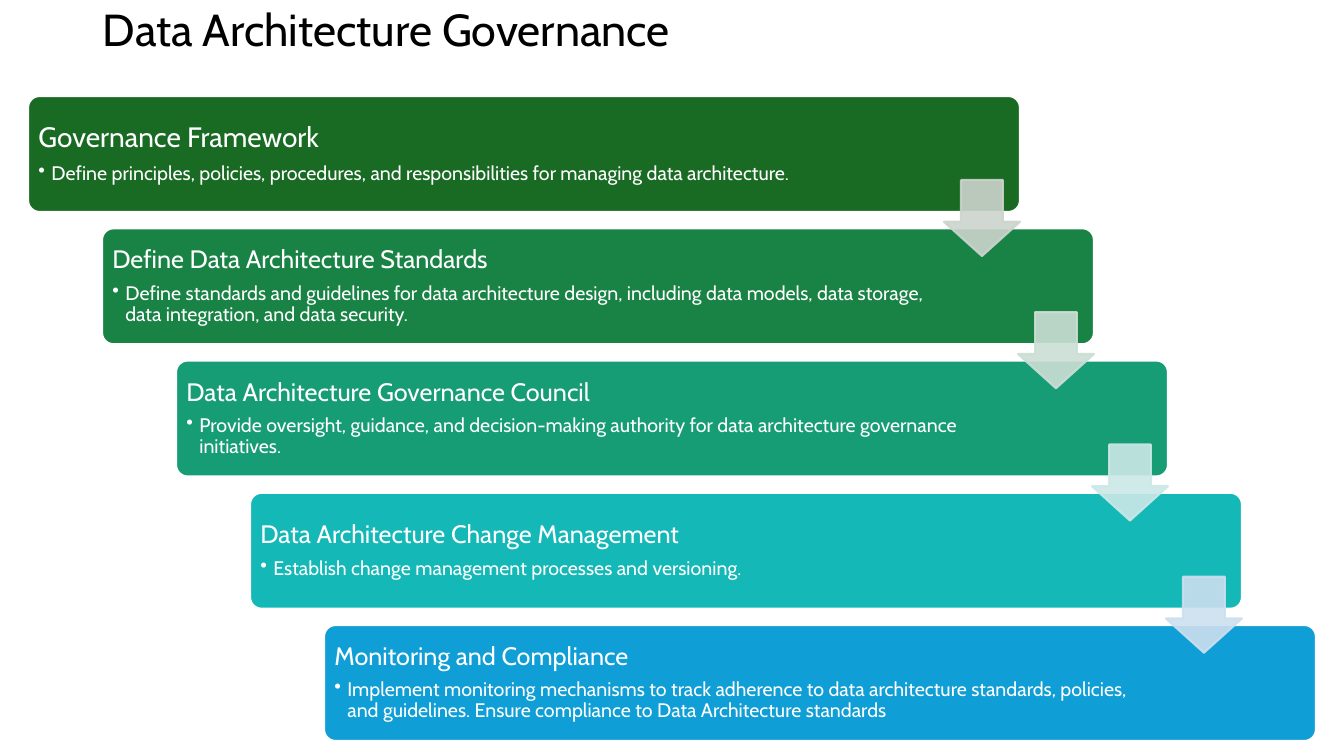
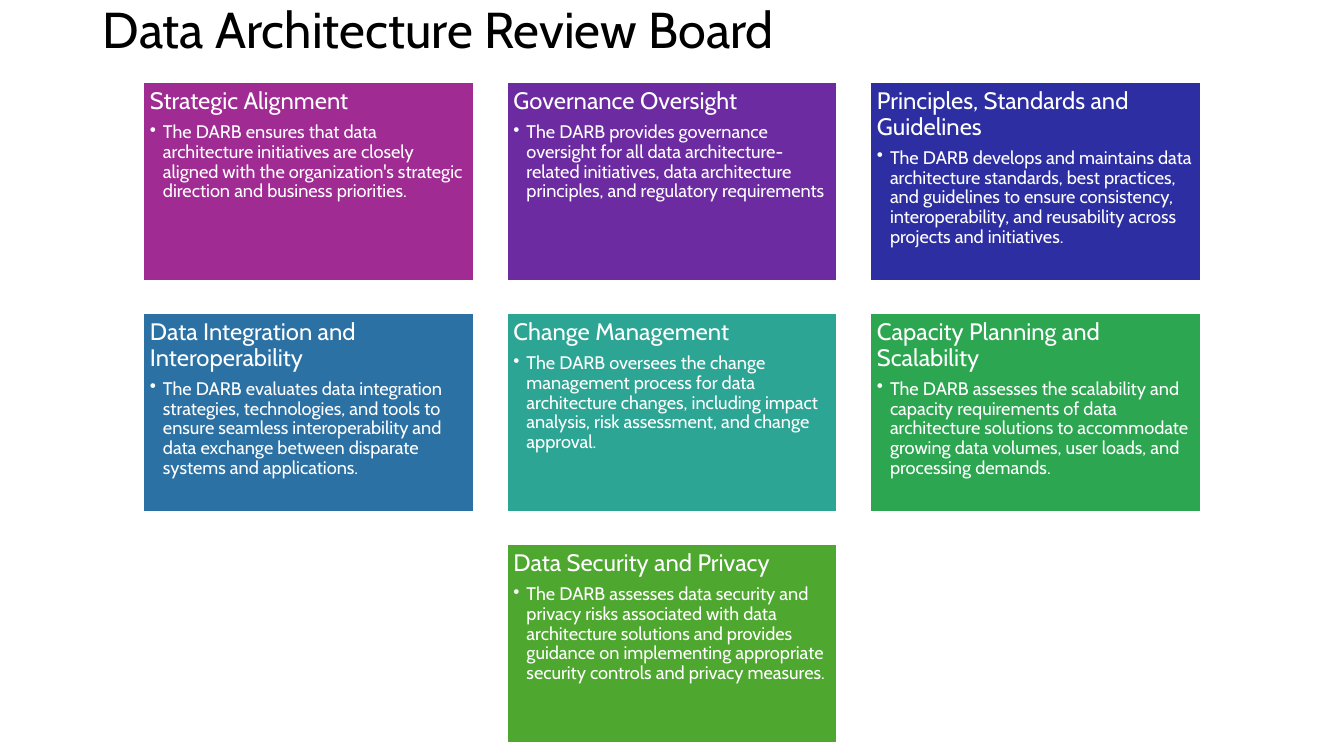
import dataclasses
import typing

import lxml.etree
import pptx
import pptx.dml.color
import pptx.enum.shapes
import pptx.enum.text
import pptx.oxml.ns
import pptx.util

PX = 914400 / 100.8


@dataclasses.dataclass(frozen=True)
class Theme:
    """Colours and type sizes of the whole presentation."""

    font: str = "Cabin"
    title: str = "000000"
    light: str = "FFFFFF"
    steps: tuple = ("196B24", "198345", "179D76", "14B8B7", "0F9ED5")
    arrows: tuple = ("CCD4CD", "CBDED5", "CBE8E7", "CCDFEF")
    cards: tuple = ("A02B93", "6C2BA1", "2C2EA2", "2C71A4", "2DA594", "2DA651", "4EA72E")
    arrow_alpha: int = 90
    outline: float = 1.5
    line_spacing: float = 0.9
    step_title_sizes: tuple = (32, 20, 18, 14)
    card_title_sizes: tuple = (36, 17, 13)


class Box(typing.NamedTuple):
    """A rectangle in px."""

    left: float
    top: float
    width: float
    height: float


THEME = Theme()
TITLE_BOX = Box(93, 0, 1159, 64)
STAIRCASE_BOX = Box(28, 96, 1288, 645)
CARD_GRID_BOX = Box(143, 82, 1058, 661)

STEPS = (
    ("Governance Framework",
     "Define principles, policies, procedures, and responsibilities for managing data architecture."),
    ("Define Data Architecture Standards",
     "Define standards and guidelines for data architecture design, including data models, "
     "data storage, data integration, and data security."),
    ("Data Architecture Governance Council",
     "Provide oversight, guidance, and decision-making authority for data architecture "
     "governance initiatives."),
    ("Data Architecture Change Management",
     "Establish change management processes and versioning."),
    ("Monitoring and Compliance",
     "Implement monitoring mechanisms to track adherence to data architecture standards, "
     "policies, and guidelines. Ensure compliance to Data Architecture standards"),
)

CARDS = (
    ("Strategic Alignment",
     "The DARB ensures that data architecture initiatives are closely aligned with the "
     "organization's strategic direction and business priorities."),
    ("Governance Oversight",
     "The DARB provides governance oversight for all data architecture-related initiatives, "
     "data architecture principles, and regulatory requirements"),
    ("Principles, Standards and Guidelines",
     "The DARB develops and maintains data architecture standards, best practices, and "
     "guidelines to ensure consistency, interoperability, and reusability across projects "
     "and initiatives."),
    ("Data Integration and Interoperability",
     "The DARB evaluates data integration strategies, technologies, and tools to ensure "
     "seamless interoperability and data exchange between disparate systems and applications."),
    ("Change Management",
     "The DARB oversees the change management process for data architecture changes, "
     "including impact analysis, risk assessment, and change approval."),
    ("Capacity Planning and Scalability",
     "The DARB assesses the scalability and capacity requirements of data architecture "
     "solutions to accommodate growing data volumes, user loads, and processing demands."),
    ("Data Security and Privacy",
     "The DARB assesses data security and privacy risks associated with data architecture "
     "solutions and provides guidance on implementing appropriate security controls and "
     "privacy measures."),
)


def px(length):
    """Turn px into EMU."""
    return pptx.util.Emu(round(length * PX))


def rgb(color):
    """Turn a hex string into a colour."""
    return pptx.dml.color.RGBColor.from_string(color)


def write(paragraph, text, *, size, color=THEME.light, after=0.0, bullet_indent=0):
    """Write one formatted paragraph, with a bullet if it has an indent."""
    paragraph.alignment = pptx.enum.text.PP_ALIGN.LEFT
    paragraph.line_spacing = THEME.line_spacing
    paragraph.space_after = pptx.util.Pt(size * after)
    run = paragraph.add_run()
    run.text = text
    run.font.name = THEME.font
    run.font.size = pptx.util.Pt(size)
    run.font.color.rgb = rgb(color)
    if bullet_indent:
        paragraph.level = 1
        properties = paragraph._p.get_or_add_pPr()
        properties.set("marL", str(px(bullet_indent)))
        properties.set("indent", str(-px(bullet_indent)))
        bullet = lxml.etree.SubElement(properties, pptx.oxml.ns.qn("a:buChar"))
        bullet.set("char", "•")


def add_shape(slide, kind, box, fill, line, alpha=100, adjustments=()):
    """Add a flat preset shape, see-through if alpha is below 100."""
    shape = slide.shapes.add_shape(kind, *map(px, box))
    shape.shadow.inherit = False
    for index, value in enumerate(adjustments):
        shape.adjustments[index] = value
    shape.fill.solid()
    shape.fill.fore_color.rgb = rgb(fill)
    shape.line.color.rgb = rgb(line)
    shape.line.width = pptx.util.Pt(THEME.outline)
    if alpha < 100:
        for color in shape._element.spPr.iter(pptx.oxml.ns.qn("a:srgbClr")):
            lxml.etree.SubElement(color, pptx.oxml.ns.qn("a:alpha")).set("val", str(alpha * 1000))
    return shape


def fill_panel(shape, content, heading_size, body_size, anchor, right_inset=7):
    """Write a heading and a bullet into a shape."""
    frame = shape.text_frame
    frame.word_wrap = True
    frame.vertical_anchor = anchor
    frame.margin_left = frame.margin_top = frame.margin_bottom = px(7)
    frame.margin_right = px(right_inset)
    heading, body = content
    write(frame.paragraphs[0], heading, size=heading_size, after=0.35)
    write(frame.add_paragraph(), body, size=body_size, after=0.15, bullet_indent=13)


def add_title(slide, box, text, size):
    """Add the slide title."""
    frame = slide.shapes.add_textbox(*map(px, box)).text_frame
    frame.word_wrap = True
    frame.vertical_anchor = pptx.enum.text.MSO_ANCHOR.MIDDLE
    write(frame.paragraphs[0], text, size=size, color=THEME.title)


def add_staircase(slide, box):
    """Add descending steps joined by block arrows."""
    width, height, arrow_size = 992, 116, 76
    shift = (box.width - width) / (len(STEPS) - 1)
    drop = (box.height - height) / (len(STEPS) - 1)
    corners = [(box.left + index * shift, box.top + index * drop) for index in range(len(STEPS))]
    _, first_size, heading_size, body_size = THEME.step_title_sizes
    for index, (content, fill, corner) in enumerate(zip(STEPS, THEME.steps, corners)):
        step = add_shape(slide, pptx.enum.shapes.MSO_SHAPE.ROUNDED_RECTANGLE,
                         Box(*corner, width, height), fill, THEME.light, adjustments=(0.1,))
        fill_panel(step, content, heading_size if index else first_size, body_size,
                   pptx.enum.text.MSO_ANCHOR.MIDDLE, right_inset=156)
    for (left, top), color in zip(corners, THEME.arrows):
        arrow_box = Box(left + width - arrow_size, top + 84, arrow_size, arrow_size)
        add_shape(slide, pptx.enum.shapes.MSO_SHAPE.DOWN_ARROW, arrow_box, color, color,
                  alpha=THEME.arrow_alpha, adjustments=(0.55, 0.45))


def add_card_grid(slide, box):
    """Add rows of three cards, with a short last row centred."""
    columns, width, height = 3, 331, 199
    rows = -(-len(CARDS) // columns)
    pitch_x = (box.width - width) / (columns - 1)
    pitch_y = (box.height - height) / (rows - 1)
    _, heading_size, body_size = THEME.card_title_sizes
    for index, (content, fill) in enumerate(zip(CARDS, THEME.cards)):
        row, column = divmod(index, columns)
        missing = max(0, columns - (len(CARDS) - row * columns))
        card_box = Box(box.left + (column + missing / 2) * pitch_x,
                       box.top + row * pitch_y, width, height)
        card = add_shape(slide, pptx.enum.shapes.MSO_SHAPE.RECTANGLE, card_box, fill, THEME.light)
        fill_panel(card, content, heading_size, body_size, pptx.enum.text.MSO_ANCHOR.TOP)


def main():
    """Build and save the presentation."""
    presentation = pptx.Presentation()
    presentation.slide_width, presentation.slide_height = px(1344), px(756)
    pages = (
        ("Data Architecture Governance", THEME.step_title_sizes[0], add_staircase, STAIRCASE_BOX),
        ("Data Architecture Review Board", THEME.card_title_sizes[0], add_card_grid, CARD_GRID_BOX),
    )
    for title, size, add_content, box in pages:
        slide = presentation.slides.add_slide(presentation.slide_layouts[6])
        add_title(slide, TITLE_BOX, title, size)
        add_content(slide, box)
    presentation.save("out.pptx")


if __name__ == "__main__":
    main()
